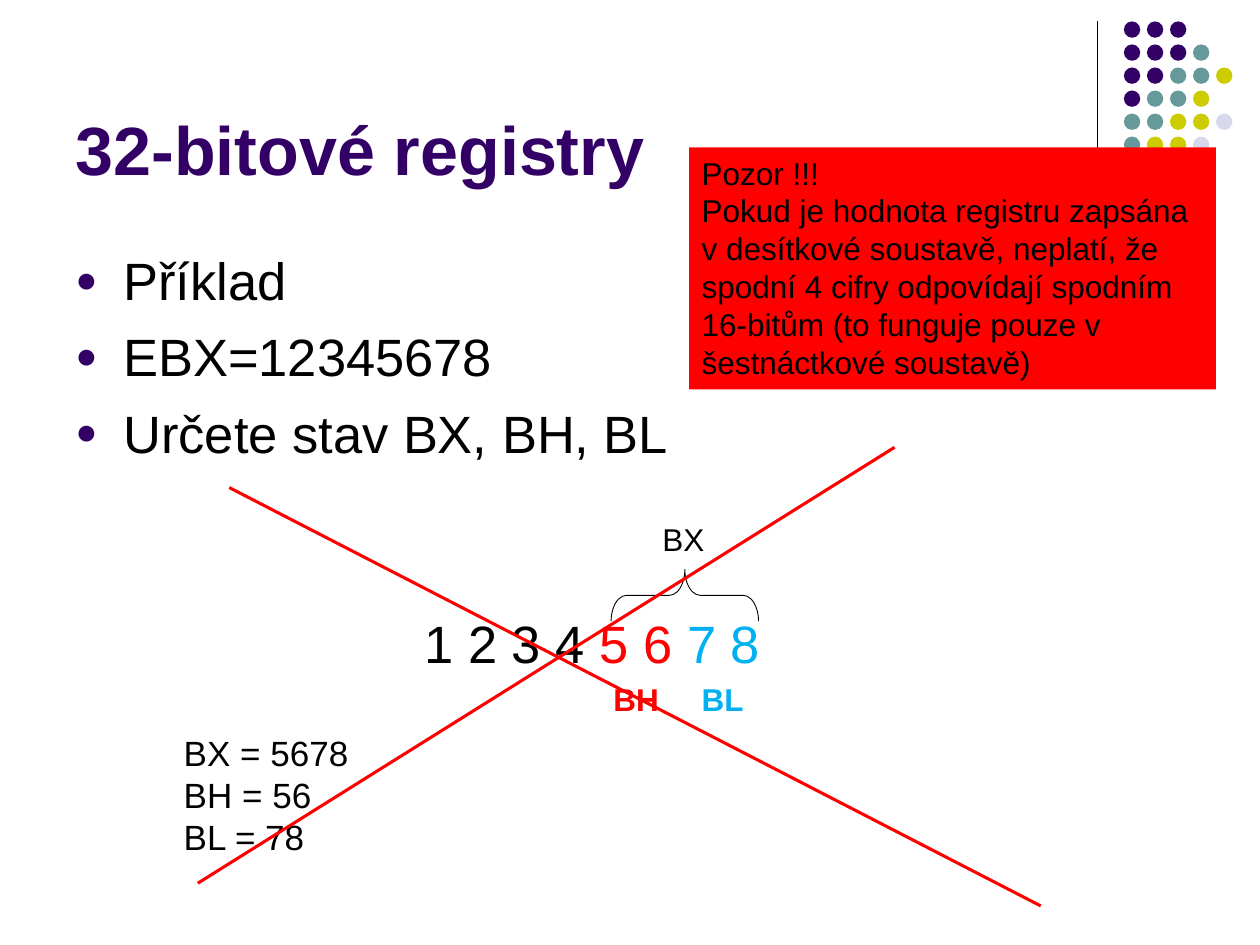
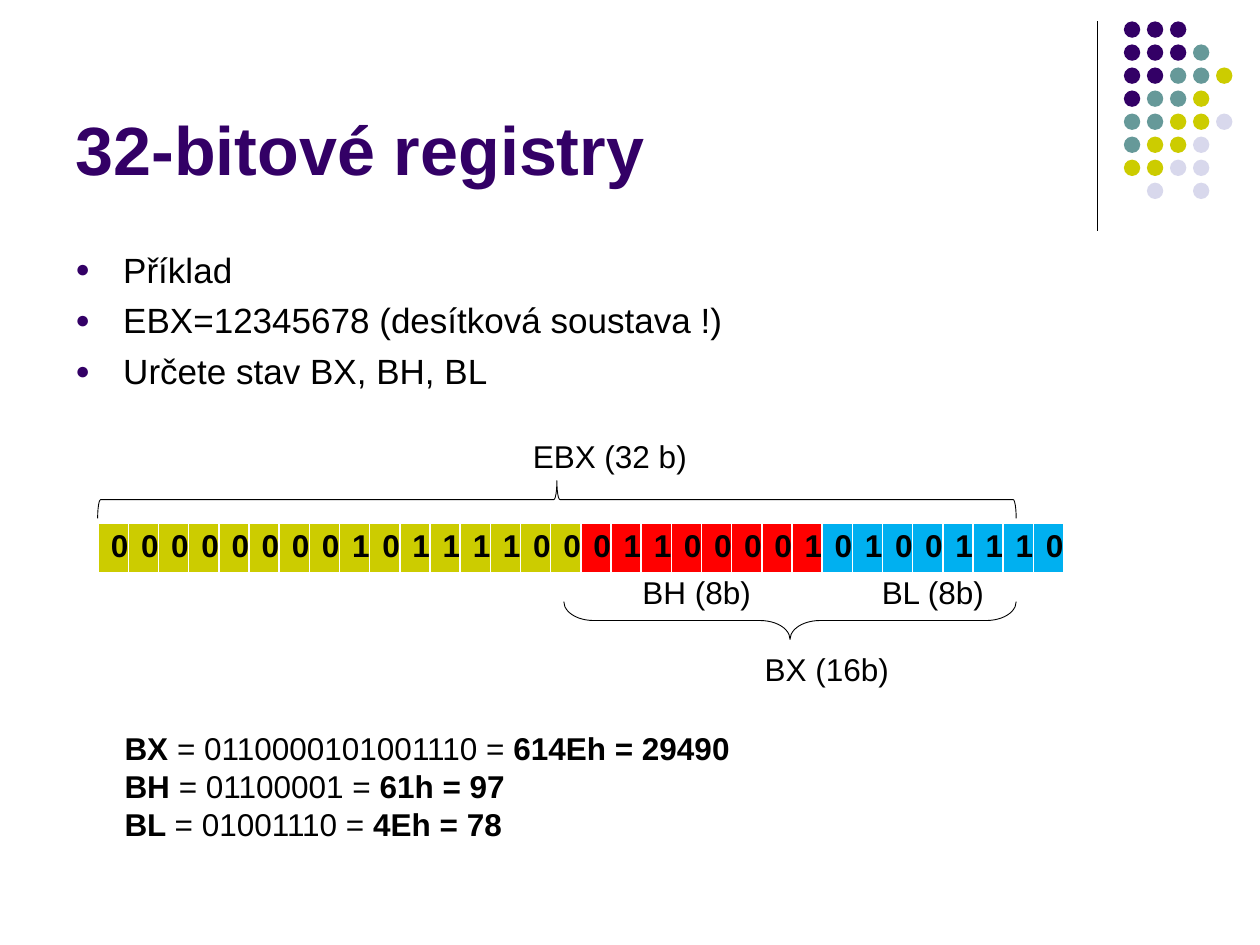
import pptx
import pptx.dml.color
import pptx.enum.shapes
import pptx.enum.text
import pptx.oxml
import pptx.oxml.ns
import pptx.util
from lxml import etree

Inches = pptx.util.Inches
Pt = pptx.util.Pt
RGBColor = pptx.dml.color.RGBColor
SHAPE = pptx.enum.shapes.MSO_SHAPE
ANCHOR = pptx.enum.text.MSO_ANCHOR
qn = pptx.oxml.ns.qn

# Shared colours and type
PURPLE = RGBColor(0x33, 0x00, 0x66)
TEAL = RGBColor(0x66, 0x99, 0x99)
OLIVE = RGBColor(0xCC, 0xCC, 0x00)
LILAC = RGBColor(0xD8, 0xD8, 0xEC)
BLACK = RGBColor(0x00, 0x00, 0x00)
WHITE = RGBColor(0xFF, 0xFF, 0xFF)
RED = RGBColor(0xFF, 0x00, 0x00)
BLUE = RGBColor(0x00, 0xB0, 0xF0)
FONT = "Arial"
TITLE = "32-bitové registry"

# Corner dots, one letter a colour
DOT_COLORS = {"P": PURPLE, "T": TEAL, "O": OLIVE, "L": LILAC}
DOT_ROWS = ["PPP", "PPPT", "PPTTO", "PTTO", "TTOOL", "TOOL", "OOLL", " L L"]
DOT_PITCH = 1.28 / 7


def box(left, top, width, height):
    return [Inches(v) for v in (left, top, width, height)]


def add_run(p, text, color=BLACK, **fmt):
    r = p.add_run()
    r.text = text
    r.font.color.rgb = color
    for name, value in {"name": FONT, "size": Pt(18), "bold": False, **fmt}.items():
        setattr(r.font, name, value)


def write(tf, paragraphs, **fmt):
    """Each paragraph is a string or a list of (text, overrides) runs."""
    tf.word_wrap = True
    for i, runs in enumerate(paragraphs):
        p = tf.paragraphs[0] if i == 0 else tf.add_paragraph()
        p.alignment = pptx.enum.text.PP_ALIGN.LEFT
        for text, own in [(runs, {})] if isinstance(runs, str) else runs:
            add_run(p, text, **{**fmt, **own})


def add_text(s, at, paragraphs, **fmt):
    tf = s.shapes.add_textbox(*box(*at)).text_frame
    write(tf, paragraphs, **fmt)
    return tf


def add_filled(s, kind, at, color):
    sp = s.shapes.add_shape(kind, *box(*at))
    sp.shadow.inherit = False
    sp.fill.solid()
    sp.fill.fore_color.rgb = color
    sp.line.fill.background()
    return sp


def add_line(s, x1, y1, x2, y2, color, width):
    line = s.shapes.add_connector(pptx.enum.shapes.MSO_CONNECTOR.STRAIGHT,
                                  *box(x1, y1, x2, y2))
    line.line.color.rgb = color
    line.line.width = Pt(width)
    etree.SubElement(line._element.spPr, qn("a:effectLst"))


def add_brace(s, kind, at, rotation, curve=0.08):
    sp = s.shapes.add_shape(kind, *box(*at))
    sp.shadow.inherit = False
    sp.rotation = rotation
    sp.adjustments[0] = curve
    sp.fill.background()
    sp.line.color.rgb = BLACK
    sp.line.width = Pt(0.5)


def add_bullet(p):
    pPr = p._p.get_or_add_pPr()
    pPr.set("marL", str(Inches(0.38)))
    pPr.set("indent", str(-Inches(0.38)))
    color = etree.SubElement(pPr, qn("a:buClr"))
    etree.SubElement(color, qn("a:srgbClr"), val=str(PURPLE))
    etree.SubElement(pPr, qn("a:buSzPct"), val="70000")
    etree.SubElement(pPr, qn("a:buFont"), typeface=FONT)
    etree.SubElement(pPr, qn("a:buChar"), char="●")


def add_body(s, items, size):
    tf = add_text(s, (0.5, 1.88, 9, 4.82), items, size=Pt(size))
    tf.margin_top = Inches(0.09)
    for i, p in enumerate(tf.paragraphs):
        p.space_before = Pt(size / 4 if i else 0)
        add_bullet(p)
    return tf


def add_base(prs, dot_rows):
    """Slide with the corner decoration and the title."""
    s = prs.slides.add_slide(prs.slide_layouts[5])
    add_line(s, 8.71, 0.17, 8.71, 1.83, BLACK, 0.75)
    for row, letters in enumerate(dot_rows):
        for col, letter in enumerate(letters):
            if letter in DOT_COLORS:
                at = (8.92 + col * DOT_PITCH, 0.17 + row * DOT_PITCH, 0.13, 0.13)
                add_filled(s, SHAPE.OVAL, at, DOT_COLORS[letter])
    title = s.shapes.title
    title.left, title.top, title.width, title.height = box(0.5, 0.13, 8.25, 1.42)
    tf = title.text_frame
    tf.auto_size = pptx.enum.text.MSO_AUTO_SIZE.NONE
    tf.vertical_anchor = ANCHOR.BOTTOM
    write(tf, [TITLE], color=PURPLE, size=Pt(39), bold=True)
    return s


def set_borders(cell):
    tcPr = cell._tc.get_or_add_tcPr()
    for side, width in {"L": 1, "R": 1, "T": 1, "B": 3}.items():
        ln = etree.SubElement(tcPr, qn("a:ln" + side), w=str(Pt(width)))
        fill = etree.SubElement(ln, qn("a:solidFill"))
        etree.SubElement(fill, qn("a:srgbClr"), val=str(WHITE))


def add_bit_table(s, at, parts):
    """One cell a bit; parts are (bits, fill) from the highest bit down."""
    cells = [(bit, color) for bits, color in parts for bit in bits]
    table = s.shapes.add_table(1, len(cells), *box(*at)).table
    table.first_row = table.horz_banding = False
    for i, (bit, color) in enumerate(cells):
        table.columns[i].width = Inches(at[2] / len(cells))
        cell = table.cell(0, i)
        set_borders(cell)
        cell.fill.solid()
        cell.fill.fore_color.rgb = color
        p = cell.text_frame.paragraphs[0]
        p.alignment = pptx.enum.text.PP_ALIGN.CENTER
        add_run(p, bit, bold=True)


def build_wrong_solution(prs):
    s = add_base(prs, DOT_ROWS[:6])
    digits = [("1 2 3 4 ", {}), ("5 6 ", {"color": RED}), ("7 8", {"color": BLUE})]
    add_body(s, ["Příklad", "EBX=12345678", "Určete stav BX, BH, BL"], 30)

    # Split digits with their labels
    add_text(s, (3.27, 4.8, 3.2, 0.6), [digits], size=Pt(30))
    add_brace(s, SHAPE.LEFT_BRACE, (5.23, 4.14, 0.41, 1.17), 90, 0.3)
    add_text(s, (5.16, 4.08, 1.23, 0.4), ["BX"])
    add_text(s, (5.47, 5.35, 0.62, 0.4), ["BL"], color=BLUE, bold=True)
    add_text(s, (4.77, 5.35, 0.62, 0.4), ["BH"], color=RED, bold=True)
    add_text(s, (1.36, 5.76, 3.12, 1.11), ["BX = 5678", "BH = 56", "BL = 78"],
             size=Pt(20))

    # Crossing out and warning
    add_line(s, 1.57, 7.01, 7.1, 3.55, RED, 1.75)
    add_line(s, 1.82, 3.87, 8.26, 7.19, RED, 1.75)
    warning = add_filled(s, SHAPE.RECTANGLE, (5.47, 1.17, 4.18, 1.92), RED)
    warning.text_frame.vertical_anchor = ANCHOR.TOP
    write(warning.text_frame, [
        "Pozor !!!",
        "Pokud je hodnota registru zapsána v desítkové soustavě, neplatí, že "
        "spodní 4 cifry odpovídají spodním 16-bitům (to funguje pouze v "
        "šestnáctkové soustavě)"])


def build_right_solution(prs):
    s = add_base(prs, DOT_ROWS)
    add_body(s, ["Příklad", "EBX=12345678 (desítková soustava !)",
                 "Určete stav BX, BH, BL"], 20)

    # Register bits with braces and labels
    high, bh, bl = "0000000010111100", "01100001", "01001110"
    add_bit_table(s, (0.78, 4.15, 7.29, 0.41), [(high, OLIVE), (bh, RED), (bl, BLUE)])
    add_brace(s, SHAPE.RIGHT_BRACE, (4.27, 0.32, 0.3, 7.29), 270)
    add_brace(s, SHAPE.RIGHT_BRACE, (6.12, 3.13, 0.3, 3.59), 90, 0.79)
    for text, at in {"BX (16b)": (5.97, 5.11, 1.25, 0.4),
                     "EBX (32 b)": (4.13, 3.42, 1.49, 0.4),
                     "BH (8b)": (5, 4.5, 1.25, 0.4),
                     "BL (8b)": (6.9, 4.5, 1.26, 0.4)}.items():
        add_text(s, at, [text])

    # Results
    bold = {"bold": True}
    results = [("BX", bh + bl, "614Eh = 29490"), ("BH", bh, "61h = 97"),
               ("BL", bl, "4Eh = 78")]
    add_text(s, (0.89, 5.74, 6.9, 1.01),
             [[(name + " ", bold), (f"= {bits} = ", {}), (value, bold)]
              for name, bits, value in results])


def main():
    prs = pptx.Presentation()
    prs.slide_width, prs.slide_height = Inches(10), Inches(7.5)
    build_wrong_solution(prs)
    build_right_solution(prs)
    prs.save("out.pptx")


if __name__ == "__main__":
    main()
